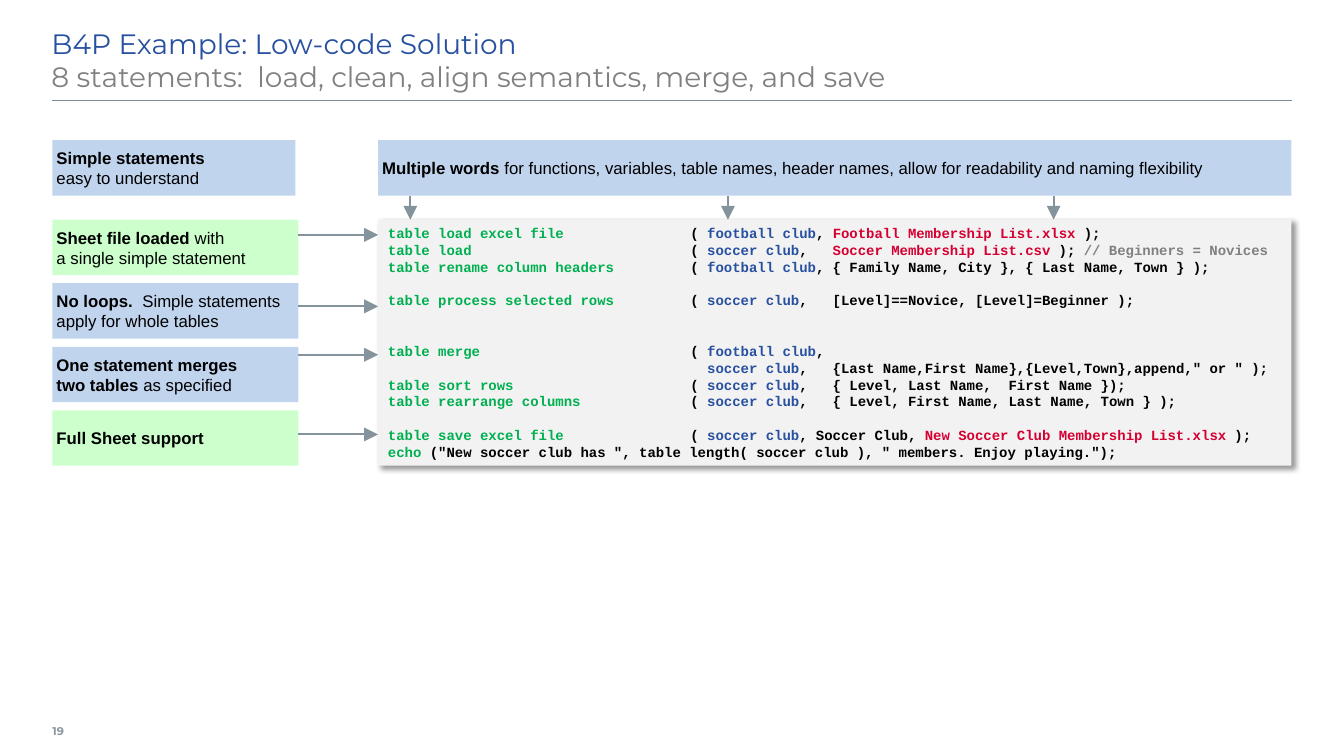
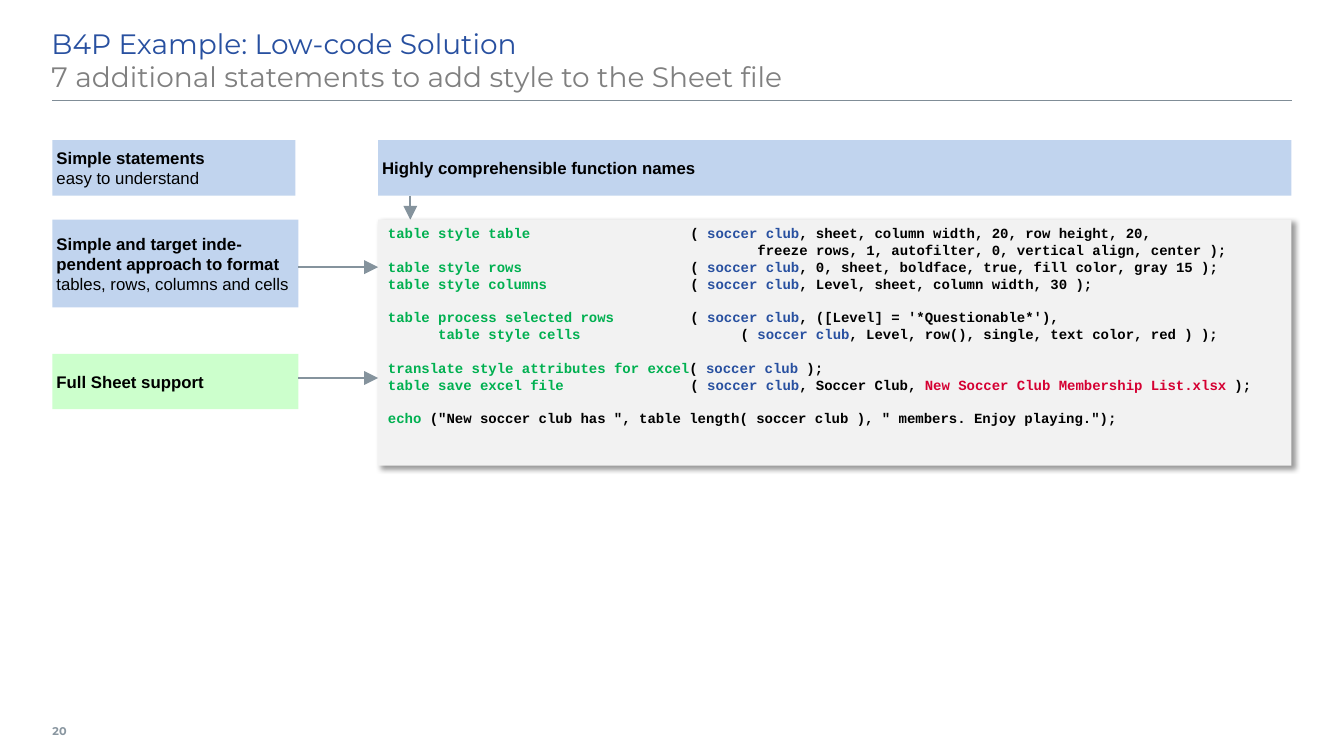
from dataclasses import dataclass
from lxml.etree import SubElement as Sub
from pptx import Presentation
from pptx.dml.color import RGBColor as Rgb
from pptx.enum.shapes import MSO_CONNECTOR as Conn, MSO_SHAPE as Shape
from pptx.enum.text import MSO_ANCHOR as Anchor, PP_ALIGN as Align
from pptx.oxml.ns import qn
from pptx.util import Inches as In, Pt


@dataclass(frozen=True)
class Theme:
    head: str = "Montserrat"
    body: str = "Arial"
    mono: str = "Courier New"
    title: int = 20
    label: int = 12
    code: int = 10
    foot: int = 8
    ink: str = "000000"
    navy: str = "2850A0"
    gray: str = "808080"
    verb: str = "00B050"
    file: str = "D50032"
    blue: str = "C1D4EE"
    green: str = "CCFFCC"
    pale: str = "F2F2F2"
    rule: str = "808D97"
    arrow: str = "85939D"
    page: str = "8996A0"


@dataclass(frozen=True)
class Box:
    x: float
    y: float
    w: float
    h: float

    @property
    def right(self):
        return self.x + self.w

    @property
    def base(self):
        return self.y + self.h

    def place(self):
        return In(self.x), In(self.y), In(self.w), In(self.h)

    def row(self, top, height):
        return Box(self.x, self.y + top, self.w, height)


T = Theme()
WIDE, HIGH = 13.33, 7.5
ROW = 0.55
TITLE = Box(0.51, 0.21, 12.28, 0.79)
RULE = Box(0.52, 1, 12.29, 0)
FOOT = Box(0.52, 7.06, 0.47, 0.39)
INTRO = Box(0.52, 1.39, 2.41, ROW)
BANNER = Box(3.75, 1.39, 9.06, ROW)
SIDE = Box(0.52, 2.18, 2.44, 2.44)
CODE = Box(3.75, 2.18, 9.06, 2.44)
STEP = ROW + (SIDE.h - 4 * ROW) / 3
TAB = 3


def add_run(para, text, font, size, color, bold=False):
    run = para.add_run()
    run.text = text
    run.font.name = font
    run.font.size = Pt(size)
    run.font.bold = bold
    run.font.color.rgb = Rgb.from_string(color)


def set_frame(frame, insets, anchor=Anchor.TOP, wrap=True):
    sides = [In(inset) for inset in insets]
    frame.margin_left, frame.margin_top, frame.margin_right, frame.margin_bottom = sides
    frame.vertical_anchor = anchor
    frame.word_wrap = wrap


def paras(frame, lines):
    for index, line in enumerate(lines):
        para = frame.add_paragraph() if index else frame.paragraphs[0]
        para.alignment = Align.LEFT
        yield para, line


def add_rect(slide, box, fill):
    rect = slide.shapes.add_shape(Shape.RECTANGLE, *box.place())
    rect.shadow.inherit = False
    rect.fill.solid()
    rect.fill.fore_color.rgb = Rgb.from_string(fill)
    rect.line.fill.background()
    return rect


def add_line(slide, start, end, color, width, head=False):
    points = [In(value) for value in (*start, *end)]
    line = slide.shapes.add_connector(Conn.STRAIGHT, *points)
    line.line.color.rgb = Rgb.from_string(color)
    line.line.width = Pt(width)
    if head:
        tip = Sub(line.line._get_or_add_ln(), qn("a:tailEnd"))
        tip.set("type", "triangle")
        tip.set("w", "lg")
        tip.set("len", "lg")
    Sub(line._element.spPr, qn("a:effectLst"))


def add_arrow(slide, start, end):
    add_line(slide, start, end, T.arrow, 1.5, True)


def add_shade(shape):
    effects = shape._element.spPr.find(qn("a:effectLst"))
    shade = Sub(effects, qn("a:outerShdw"), blurRad=str(Pt(4)), dist=str(Pt(3)),
                dir="2700000", algn="tl", rotWithShape="0")
    color = Sub(shade, qn("a:srgbClr"), val=T.ink)
    Sub(color, qn("a:alpha"), val="40000")


def add_head(slide, box, title, topic):
    frame = slide.shapes.add_textbox(*box.place()).text_frame
    set_frame(frame, (0, 0.05, 0.1, 0.05))
    para = frame.paragraphs[0]
    add_run(para, title, T.head, T.title, T.navy)
    para.add_line_break()
    add_run(para, topic, T.head, T.title, T.gray)
    add_line(slide, (RULE.x, RULE.y), (RULE.right, RULE.y), T.rule, 1)


def add_foot(slide, box, number):
    frame = slide.shapes.add_textbox(*box.place()).text_frame
    set_frame(frame, (0, 0.05, 0.08, 0.05), Anchor.MIDDLE, False)
    add_run(frame.paragraphs[0], str(number), T.head, T.foot, T.page, True)


def add_label(slide, box, fill, lines):
    frame = add_rect(slide, box, fill).text_frame
    set_frame(frame, (0.04,) * 4, Anchor.MIDDLE)
    for para, (strong, plain) in paras(frame, lines):
        for text, bold in ((strong, True), (plain, False)):
            if text:
                add_run(para, text, T.body, T.label, T.ink, bold)


def add_banner(slide, box, line, drops):
    add_label(slide, box, T.blue, [line])
    for drop in drops:
        x = box.x + drop
        add_arrow(slide, (x, box.base), (x, CODE.y))


def add_side(slide, box, notes):
    for top, height, aim, fill, lines in notes:
        cell = box.row(top, height)
        add_label(slide, cell, fill, lines)
        y = cell.y + aim
        add_arrow(slide, (cell.right, y), (CODE.x, y))


def add_code(slide, box, lines):
    rect = add_rect(slide, box, T.pale)
    add_shade(rect)
    set_frame(rect.text_frame, (0.1, 0.05, 0.1, 0.05))
    for para, (gap, runs) in paras(rect.text_frame, lines):
        stops = Sub(para._p.get_or_add_pPr(), qn("a:tabLst"))
        Sub(stops, qn("a:tab"), pos=str(In(TAB)), algn="l")
        if gap:
            para.space_before = Pt(12 * gap)
        for text, color in runs:
            add_run(para, text, T.mono, T.code, color, True)


def call(verb, club, *rest, gap=0, lead="\t( "):
    tail = [(part, T.ink) if isinstance(part, str) else part for part in rest]
    return gap, [(verb, T.verb), (lead, T.ink), (club, T.navy), *tail]


def build(deck, number, topic, banner, drops, notes, lines):
    slide = deck.slides.add_slide(deck.slide_layouts[6])
    add_head(slide, TITLE, "B4P Example: Low-code Solution", topic)
    add_foot(slide, FOOT, number)
    add_label(slide, INTRO, T.blue,
              [("Simple statements", ""), ("", "easy to understand")])
    add_banner(slide, BANNER, banner, drops)
    add_code(slide, CODE, lines)
    add_side(slide, SIDE, notes)


FOOTBALL, SOCCER = "football club", "soccer club"
SUPPORT = [("Full Sheet support", "")]
SAVE = call("table save excel file", SOCCER, ", Soccer Club, ",
            ("New Soccer Club Membership List.xlsx", T.file), " );", gap=1)
ECHO = [("echo ", T.verb),
        ('("New soccer club has ", table length( soccer club ), " members. Enjoy playing.");', T.ink)]

MERGE_NOTES = [
    (0, ROW, 0.15, T.green,
     [("Sheet file loaded ", "with"), ("", "a single simple statement")]),
    (STEP, ROW, 0.23, T.blue,
     [("No loops.  ", "Simple statements"), ("", "apply for whole tables")]),
    (2 * STEP, ROW, 0.08, T.blue,
     [("One statement merges", ""), ("two tables ", "as specified")]),
    (3 * STEP, ROW, 0.24, T.green, SUPPORT),
]
MERGE_CODE = [
    call("table load excel file", FOOTBALL, ", ",
         ("Football Membership List.xlsx", T.file), " );"),
    call("table load", SOCCER, ",   ", ("Soccer Membership List.csv ", T.file),
         "); ", ("// Beginners = Novices", T.gray)),
    call("table rename column headers", FOOTBALL,
         ", { Family Name, City }, { Last Name, Town } );"),
    call("table process selected rows", SOCCER,
         ",   [Level]==Novice, [Level]=Beginner );", gap=1),
    call("table merge", FOOTBALL, ",", gap=2),
    (0, [("\t  soccer club", T.navy),
         (',   {Last Name,First Name},{Level,Town},append," or " );', T.ink)]),
    call("table sort rows", SOCCER, ",   { Level, Last Name,  First Name });"),
    call("table rearrange columns", SOCCER,
         ",   { Level, First Name, Last Name, Town } );"),
    SAVE,
    (0, ECHO),
]
STYLE_NOTES = [
    (0, 0.87, 0.47, T.blue,
     [("Simple and target inde-pendent approach to format ",
       "tables, rows, columns and cells")]),
    (1.33, ROW, 0.24, T.green, SUPPORT),
]
STYLE_CODE = [
    call("table style table", SOCCER, ", sheet, column width, 20, row height, 20,"),
    (0, [("\t        freeze rows, 1, autofilter, 0, vertical align, center );", T.ink)]),
    call("table style rows", SOCCER,
         ", 0, sheet, boldface, true, fill color, gray 15 );"),
    call("table style columns", SOCCER, ", Level, sheet, column width, 30 );"),
    call("table process selected rows", SOCCER, ", ([Level] = '*Questionable*'),", gap=1),
    call("      table style cells", SOCCER,
         ", Level, row(), single, text color, red ) );", lead="\t      ( "),
    call("translate style attributes for excel", "soccer club ", ");", gap=1, lead="( "),
    (0, SAVE[1]),
    (1, ECHO),
]


def main():
    deck = Presentation()
    deck.slide_width, deck.slide_height = In(WIDE), In(HIGH)
    build(deck, 19, "8 statements:  load, clean, align semantics, merge, and save",
          ("Multiple words ", "for functions, variables, table names, header names, "
           "allow for readability and naming flexibility"),
          (0.32, 3.47, 6.7), MERGE_NOTES, MERGE_CODE)
    build(deck, 20, "7 additional statements to add style to the Sheet file",
          ("Highly comprehensible function names", ""),
          (0.32,), STYLE_NOTES, STYLE_CODE)
    deck.save("out.pptx")


if __name__ == "__main__":
    main()
